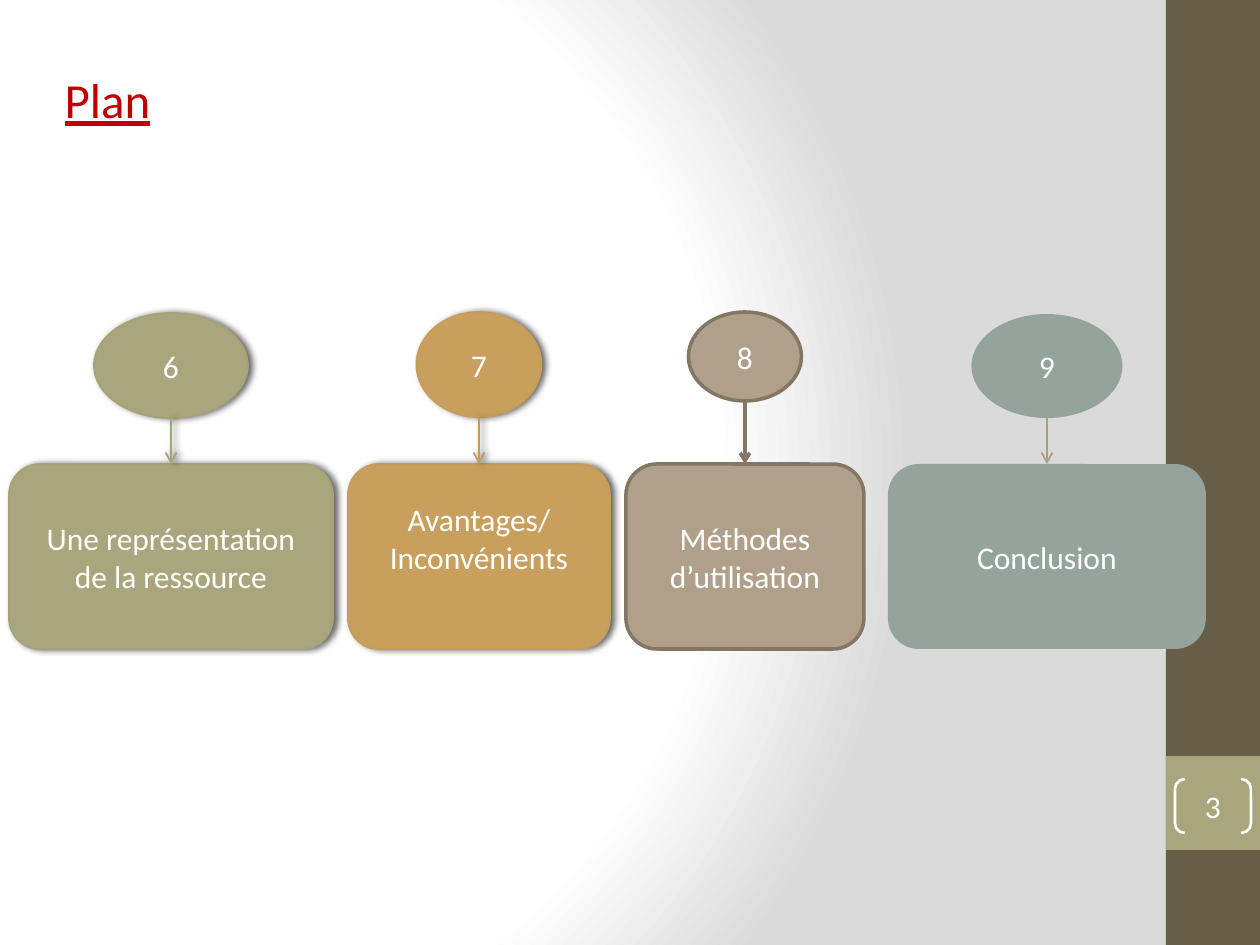
from dataclasses import dataclass

from pptx import Presentation
from pptx.dml.color import RGBColor
from pptx.enum.shapes import MSO_CONNECTOR, MSO_SHAPE
from pptx.enum.text import MSO_ANCHOR, MSO_AUTO_SIZE, PP_ALIGN
from pptx.oxml import parse_xml
from pptx.oxml.ns import nsdecls
from pptx.util import Pt

RECTANGLE, ELLIPSE = MSO_SHAPE.RECTANGLE, MSO_SHAPE.OVAL
ROUNDED, BRACKETS = MSO_SHAPE.ROUNDED_RECTANGLE, MSO_SHAPE.DOUBLE_BRACKET
STRAIGHT = MSO_CONNECTOR.STRAIGHT
CENTER, LEFT = PP_ALIGN.CENTER, PP_ALIGN.LEFT
MIDDLE, TOP = MSO_ANCHOR.MIDDLE, MSO_ANCHOR.TOP
EMU_PER_PX = 914400 / 126
BOX_TOP, BOX_HEIGHT = 464, 185
INSET = 6


@dataclass(frozen=True)
class Theme:
    font: str = "Calibri"
    title_size: int = 28
    body_size: int = 18
    title: str = "C00000"
    text: str = "FFFFFF"
    band: str = "675E47"
    olive: str = "A9A57C"
    olive_line: str = "A6A278"
    ochre: str = "C89F5D"
    ochre_line: str = "C69C58"
    taupe: str = "B1A089"
    taupe_line: str = "837665"
    sage: str = "95A39D"
    backdrop_edge: str = "DADADA"


THEME = Theme()
TITLE = "Plan"
PAGE_NUMBER = "3"

# outline and arrow are (colour, width in points); raised_by lifts the label
STEPS = [
    dict(number="6", label="Une représentation de la ressource", box=(9, 324), oval=(313, 154, 105),
         fill=THEME.olive, outline=(THEME.olive_line, 1), arrow=(THEME.olive_line, 1),
         shadow=True, raised_by=0),
    dict(number="7", label="Avantages/\nInconvénients", box=(348, 262), oval=(312, 125, 105),
         fill=THEME.ochre, outline=(THEME.ochre_line, 1), arrow=(THEME.ochre_line, 1),
         shadow=True, raised_by=38),
    dict(number="9", label="Conclusion", box=(888, 318), oval=(314, 151, 104),
         fill=THEME.sage, outline=None, arrow=(THEME.olive_line, 1),
         shadow=False, raised_by=0),
    dict(number="8", label="Méthodes d’utilisation", box=(626, 238), oval=(312, 113, 89),
         fill=THEME.taupe, outline=(THEME.taupe_line, 2), arrow=(THEME.taupe_line, 2),
         shadow=False, raised_by=0),
]


def px(value):
    return round(value * EMU_PER_PX)


def rgb(value):
    return RGBColor.from_string(value)


def set_effects(shape, shadow):
    """Give a shape or connector either the soft shadow or no effect at all."""
    content = ""
    if shadow:
        content = (f'<a:outerShdw blurRad="{Pt(4)}" dist="{Pt(2)}" dir="0" rotWithShape="0">'
                   '<a:srgbClr val="000000"><a:alpha val="60000"/></a:srgbClr></a:outerShdw>')
    shape._element.spPr.append(
        parse_xml(f'<a:effectLst {nsdecls("a")}>{content}</a:effectLst>'))


def set_line(line, style):
    if style is None:
        line.fill.background()
        return
    color, width = style
    line.color.rgb = rgb(color)
    line.width = Pt(width)


def write(shape, text, size=THEME.body_size, color=THEME.text, align=CENTER, anchor=MIDDLE):
    frame = shape.text_frame
    frame.text = text
    frame.vertical_anchor = anchor
    for paragraph in frame.paragraphs:
        paragraph.alignment = align
        for run in paragraph.runs:
            run.font.name = THEME.font
            run.font.size = Pt(size)
            run.font.color.rgb = rgb(color)
    return frame


def add_shape(slide, kind, bounds, fill=None, outline=None, shadow=False):
    shape = slide.shapes.add_shape(kind, *map(px, bounds))
    if fill:
        shape.fill.solid()
        shape.fill.fore_color.rgb = rgb(fill)
    else:
        shape.fill.background()
    set_line(shape.line, outline)
    set_effects(shape, shadow)
    return shape


def set_background(slide):
    """Fill the slide with a circular gradient, white at its focus."""
    stops = "".join(
        f'<a:gs pos="{position}000"><a:srgbClr val="{color}"/></a:gs>'
        for position, color in [(0, "FFFFFF"), (75, "FFFFFF"), (100, THEME.backdrop_edge)])
    slide._element.cSld.insert(0, parse_xml(
        f'<p:bg {nsdecls("p", "a")}><p:bgPr><a:gradFill rotWithShape="1">'
        f'<a:gsLst>{stops}</a:gsLst><a:path path="circle">'
        '<a:fillToRect l="20000" t="50000" r="100000" b="50000"/></a:path>'
        '</a:gradFill><a:effectLst/></p:bgPr></p:bg>'))


def add_title(slide):
    title = slide.shapes.title
    title.left, title.top, title.width, title.height = map(px, (52, 63, 132, 72))
    frame = write(title, TITLE, THEME.title_size, THEME.title, LEFT, TOP)
    frame.word_wrap = False
    frame.auto_size = MSO_AUTO_SIZE.SHAPE_TO_FIT_TEXT
    frame.paragraphs[0].space_before = Pt(0)
    frame.paragraphs[0].runs[0].font.underline = True


def add_step(slide, step):
    """Draw a numbered ellipse centred above its box, with an arrow between."""
    style = {name: step[name] for name in ("fill", "outline", "shadow")}
    box_left, box_width = step["box"]
    oval_top, oval_width, oval_height = step["oval"]
    center = box_left + box_width / 2

    oval = add_shape(slide, ELLIPSE,
                     (center - oval_width / 2, oval_top, oval_width, oval_height), **style)
    write(oval, step["number"])
    box = add_shape(slide, ROUNDED, (box_left, BOX_TOP, box_width, BOX_HEIGHT), **style)
    write(box, step["label"]).margin_bottom = px(INSET + step["raised_by"])

    arrow = slide.shapes.add_connector(
        STRAIGHT, px(center), px(oval_top + oval_height), px(center), px(BOX_TOP))
    arrow.end_connect(box, 0)
    set_line(arrow.line, step["arrow"])
    arrow.line._get_or_add_ln().append(parse_xml(f'<a:tailEnd {nsdecls("a")} type="arrow"/>'))
    set_effects(arrow, step["shadow"])


def add_page_number(slide):
    brackets = add_shape(slide, BRACKETS, (1175, 779, 76, 54), outline=(THEME.text, 1.5))
    brackets.adjustments[0] = 0.18
    frame = write(brackets, PAGE_NUMBER)
    frame.margin_left = frame.margin_right = frame.margin_top = frame.margin_bottom = 0


def main():
    presentation = Presentation()
    presentation.slide_width, presentation.slide_height = px(1260), px(945)
    slide = presentation.slides.add_slide(presentation.slide_layouts[5])
    set_background(slide)
    add_shape(slide, RECTANGLE, (1166, 0, 94, 945), THEME.band)
    add_shape(slide, RECTANGLE, (1166, 756, 94, 94), THEME.olive)
    for step in STEPS:
        add_step(slide, step)
    add_title(slide)
    add_page_number(slide)
    presentation.save("out.pptx")


if __name__ == "__main__":
    main()
